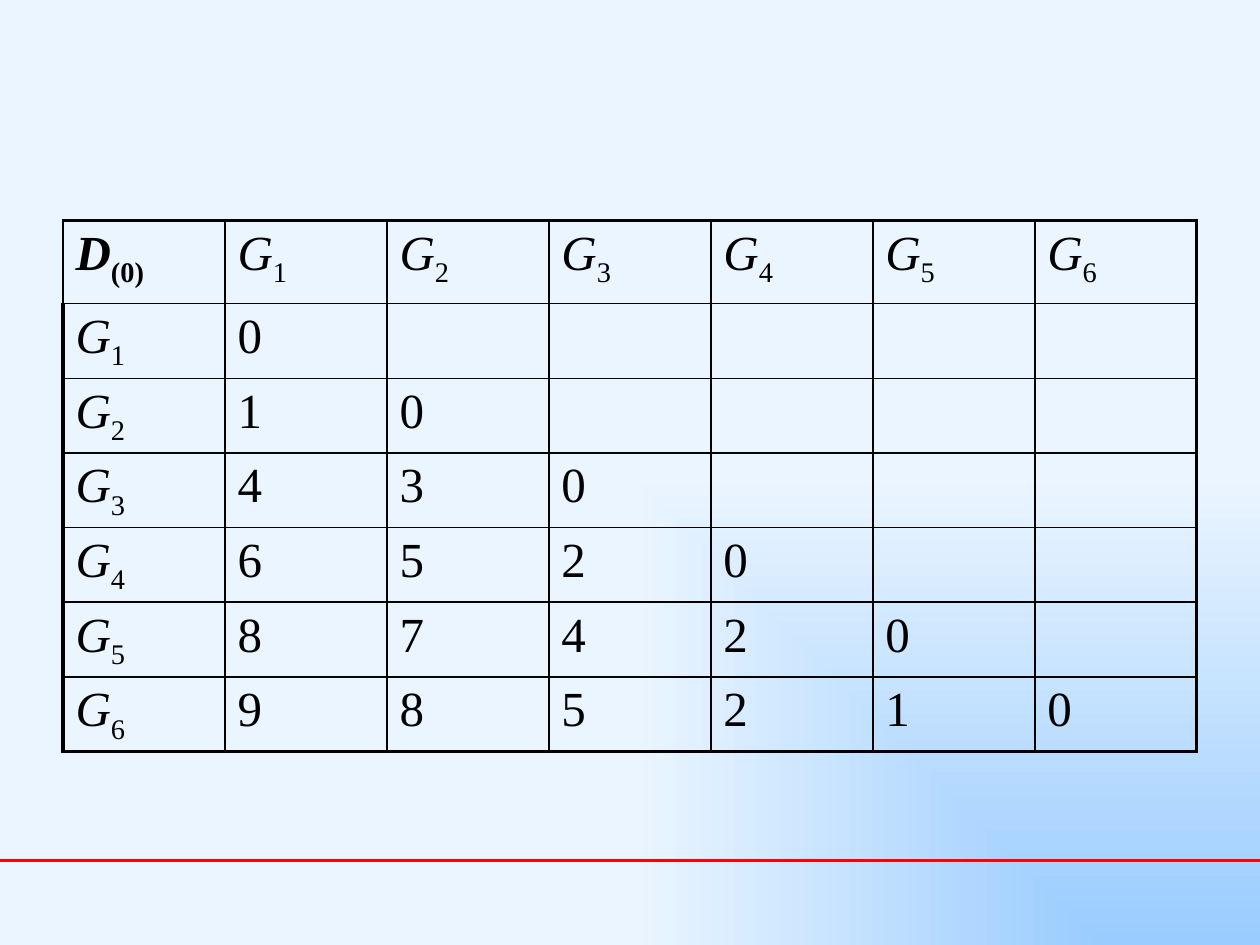
from lxml.etree import SubElement as Sub
from pptx import Presentation
from pptx.dml.color import RGBColor as RGB
from pptx.enum.shapes import MSO_CONNECTOR as Conn
from pptx.oxml.ns import qn
from pptx.util import Pt


def color(hex):
    return RGB.from_string(hex)


def border(cell, side, width):
    """Draw one side (L, R, T or B) of a cell in black."""
    props = cell._tc.get_or_add_tcPr()
    line = Sub(props, qn("a:ln" + side), w=str(Pt(width)))
    Sub(Sub(line, qn("a:solidFill")), qn("a:srgbClr"), val="000000")


deck = Presentation()
deck.slide_width, deck.slide_height = Pt(720), Pt(540)
slide = deck.slides.add_slide(deck.slide_layouts[6])

# Background glowing from the bottom right corner
fill = slide.background.fill
fill.gradient()
for stop, tone in zip(fill.gradient_stops, ("99CCFF", "EBF5FF")):
    stop.color.rgb = color(tone)
grad = slide.background._cSld.find(".//" + qn("a:gradFill"))
grad.remove(grad.find(qn("a:lin")))
focus = Sub(grad, qn("a:path"), path="rect")
Sub(focus, qn("a:fillToRect"), l="100000", t="100000", r="0", b="0")

# Red rule across the foot
rule = slide.shapes.add_connector(Conn.STRAIGHT, Pt(0), Pt(491.5), Pt(720), Pt(491.5))
rule.line.color.rgb = color("FF0000")
rule.line.width = Pt(1.75)
Sub(rule._element.spPr, qn("a:effectLst"))

# Distance matrix: each label is a letter and its subscript
names = [("G", str(n)) for n in range(1, 7)]
dists = ["0", "10", "430", "6520", "87420", "985210"]
rows = [[("D", "(0)")] + names]
rows += [[name] + [(d,) for d in line] for name, line in zip(names, dists)]

size = 7
last = size - 1
table = slide.shapes.add_table(size, size, Pt(36), Pt(126), Pt(648), Pt(293.5)).table
table.first_row = table.horz_banding = False
for col in table.columns:
    col.width = Pt(648 / size)
for r, row in enumerate(table.rows):
    row.height = Pt(41 if r else 47.5)
    for c, cell in enumerate(row.cells):
        border(cell, "L", 2.25 if c == 0 and r > 0 else 1)
        border(cell, "R", 2.25 if c == last else 1)
        border(cell, "T", 2.25 if r == 0 else 1)
        border(cell, "B", 2.25 if r == last else 1)
        cell.fill.background()
        parts = rows[r][c] if c < len(rows[r]) else ()
        for i, part in enumerate(parts):
            run = cell.text_frame.paragraphs[0].add_run()
            run.text = part
            font = run.font
            font.name = "Times New Roman"
            font.size = Pt(28)
            font.color.rgb = color("000000")
            font.bold = r == c == 0
            font.italic = len(parts) == 2 and i == 0
            if i == 1:
                font._element.set("baseline", "-25000")

deck.save("out.pptx")
